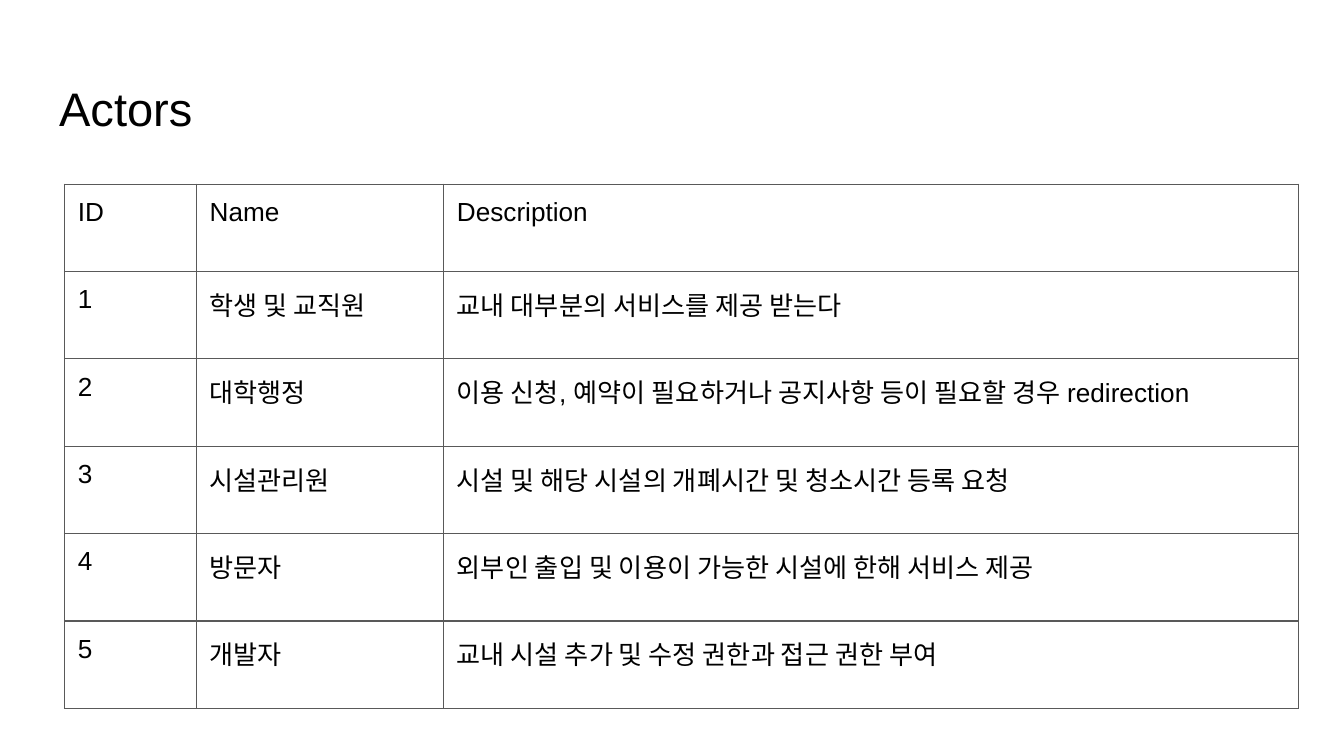
from dataclasses import dataclass

from lxml import etree
from pptx import Presentation
from pptx.dml.color import RGBColor
from pptx.enum.text import MSO_ANCHOR, MSO_AUTO_SIZE, PP_ALIGN
from pptx.oxml.ns import qn
from pptx.util import Inches, Pt

LEFT = PP_ALIGN.LEFT
TOP = MSO_ANCHOR.TOP
MIDDLE = MSO_ANCHOR.MIDDLE
NO_AUTOFIT = MSO_AUTO_SIZE.NONE
TITLE_ONLY_LAYOUT = 5
BORDER_SIDES = ("a:lnL", "a:lnR", "a:lnT", "a:lnB")

SLIDE_WIDTH = 10
SLIDE_HEIGHT = SLIDE_WIDTH * 9 / 16
COLUMN_WIDTHS = (0.98, 1.84, 6.36)
ROW_HEIGHT = 0.65
ACTORS = (
    ("ID", "Name", "Description"),
    ("1", "학생 및 교직원", "교내 대부분의 서비스를 제공 받는다"),
    ("2", "대학행정", "이용 신청, 예약이 필요하거나 공지사항 등이 필요할 경우 redirection"),
    ("3", "시설관리원", "시설 및 해당 시설의 개폐시간 및 청소시간 등록 요청"),
    ("4", "방문자", "외부인 출입 및 이용이 가능한 시설에 한해 서비스 제공"),
    ("5", "개발자", "교내 시설 추가 및 수정 권한과 접근 권한 부여"),
)


@dataclass(frozen=True)
class Theme:
    font: str = "Arial"
    text: str = "000000"
    background: str = "FFFFFF"
    border: str = "595959"
    border_width: float = 0.75
    title_size: float = 25.2
    cell_size: float = 14
    inset: float = 0.1


def write_text(frame, text, *, font, size, color):
    paragraph = frame.paragraphs[0]
    paragraph.alignment = LEFT
    paragraph.line_spacing = 1.0
    run = paragraph.add_run()
    run.text = text
    run.font.name = font
    run.font.size = Pt(size)
    run.font.color.rgb = RGBColor.from_string(color)


class SlideBuilder:
    def __init__(self, slide, theme):
        self.slide = slide
        self.theme = theme

    def background(self):
        fill = self.slide.background.fill
        fill.solid()
        fill.fore_color.rgb = RGBColor.from_string(self.theme.background)

    def set_insets(self, holder):
        inset = Inches(self.theme.inset)
        holder.margin_left = holder.margin_right = inset
        holder.margin_top = holder.margin_bottom = inset

    def title(self, text, left, top, width, height):
        shape = self.slide.shapes.title
        shape.left, shape.top = Inches(left), Inches(top)
        shape.width, shape.height = Inches(width), Inches(height)
        frame = shape.text_frame
        frame.auto_size = NO_AUTOFIT
        frame.word_wrap = True
        frame.vertical_anchor = MIDDLE
        self.set_insets(frame)
        write_text(frame, text, font=self.theme.font,
                   size=self.theme.title_size, color=self.theme.text)

    def cell_borders(self, cell):
        properties = cell._tc.get_or_add_tcPr()
        for index, side in enumerate(BORDER_SIDES):
            line = etree.Element(qn(side), w=str(Pt(self.theme.border_width)))
            fill = etree.SubElement(line, qn("a:solidFill"))
            etree.SubElement(fill, qn("a:srgbClr"), val=self.theme.border)
            properties.insert(index, line)

    def table(self, rows, left, top, column_widths, row_height):
        table = self.slide.shapes.add_table(
            len(rows), len(column_widths), Inches(left), Inches(top),
            Inches(sum(column_widths)), Inches(row_height * len(rows))).table
        table.first_row = False
        table.horz_banding = False
        for column, width in zip(table.columns, column_widths):
            column.width = Inches(width)
        for row, texts in zip(table.rows, rows):
            row.height = Inches(row_height)
            for cell, text in zip(row.cells, texts):
                cell.fill.background()
                cell.vertical_anchor = TOP
                self.set_insets(cell)
                self.cell_borders(cell)
                write_text(cell.text_frame, text, font=self.theme.font,
                           size=self.theme.cell_size, color=self.theme.text)


def main():
    presentation = Presentation()
    presentation.slide_width = Inches(SLIDE_WIDTH)
    presentation.slide_height = Inches(SLIDE_HEIGHT)
    layout = presentation.slide_layouts[TITLE_ONLY_LAYOUT]
    builder = SlideBuilder(presentation.slides.add_slide(layout), Theme())
    builder.background()
    builder.title("Actors", 0.34, 0.49, 9.32, 0.63)
    builder.table(ACTORS, 0.48, 1.37, COLUMN_WIDTHS, ROW_HEIGHT)
    presentation.save("out.pptx")


if __name__ == "__main__":
    main()
